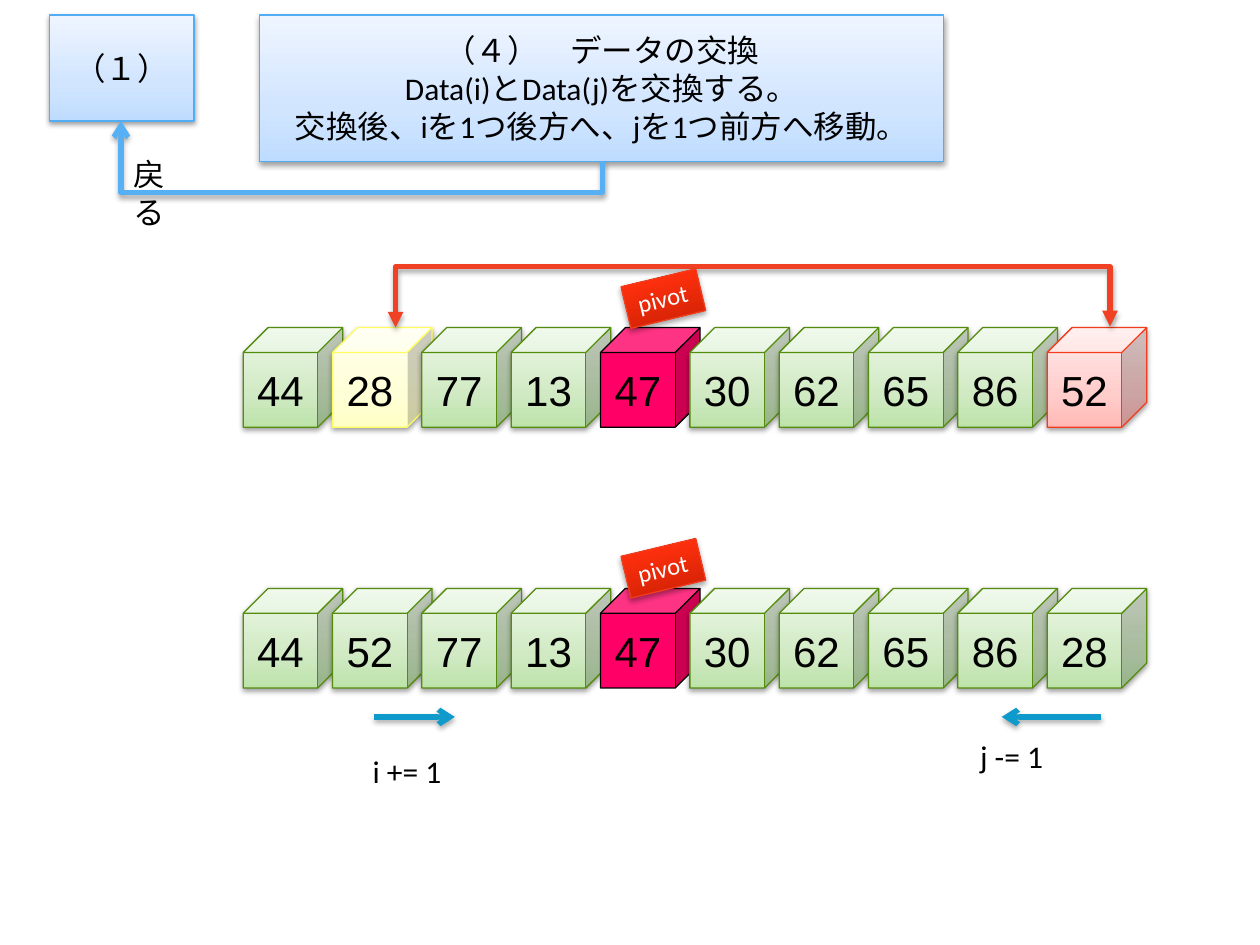
from copy import deepcopy
from dataclasses import dataclass
from typing import Optional

from lxml.etree import SubElement
from pptx import Presentation
from pptx.dml.color import RGBColor as Rgb
from pptx.enum.shapes import MSO_CONNECTOR as Conn, MSO_SHAPE as Kind
from pptx.enum.text import MSO_ANCHOR as Anchor, MSO_AUTO_SIZE as Fit, PP_ALIGN as Align
from pptx.oxml.ns import qn
from pptx.util import Inches, Pt

HUES = {
    "black": "000000", "white": "FFFFFF", "pivot": "FF0066",
    "back": "58B0F4", "swap": "F14124", "step": "0F9ACC",
}


@dataclass(frozen=True)
class Skin:
    line: str
    stops: tuple[tuple[float, str], ...]


@dataclass(frozen=True)
class Row:
    top: float
    tag_top: float
    nums: tuple[int, ...]
    marks: dict[int, Skin]


@dataclass(frozen=True)
class Bend:
    box: tuple[float, float, float, float]
    hue: str
    ratio: float
    flips: str
    ends: tuple[str, ...]
    head: str


@dataclass(frozen=True)
class Step:
    start: float
    end: float
    text: str
    box: tuple[float, float, float, float]


BLUE = Skin("52ADF2", ((0, "BEDCFF"), (0.35, "D1E5FF"), (1, "EEF5FF")))
GREEN = Skin("548C0E", ((0, "BDE3AA"), (0.35, "D1EAC4"), (1, "EDF8E8")))
YELLOW = Skin("FDFD5F", ((0, "FFFFC6"), (0.35, "FFFFD7"), (1, "FFFFF0")))
PINK = Skin("F13C1E", ((0, "FFBAB7"), (0.35, "FFCECC"), (1, "FFEDEC")))
RED = Skin("F13C1E", ((0, "CB2004"), (0.8, "FF300D"), (1, "FF310F")))
PIVOT = Skin(HUES["black"], ((0, HUES["pivot"]),))

LEFT, PITCH, SIDE = 1.93, 0.709, 0.79

ROWS = (
    Row(2.6, 2.2, (44, 28, 77, 13, 47, 30, 62, 65, 86, 52),
        {1: YELLOW, 4: PIVOT, 9: PINK}),
    Row(4.67, 4.34, (44, 52, 77, 13, 47, 30, 62, 65, 86, 28), {4: PIVOT}),
)
BENDS = (
    Bend((2.71, -0.79, 0.32, 3.82), "back", -0.78, "H", ("tailEnd",), "arrow"),
    Bend((5.97, -0.24, 0.01, 5.67), "swap", 49, "HV", ("headEnd", "tailEnd"), "triangle"),
)
STEPS = (
    Step(2.97, 3.61, "i += 1", (2.86, 5.92, 0.76, 0.4)),
    Step(8.74, 7.95, "j -= 1", (7.68, 5.8, 0.71, 0.4)),
)


def shade(props, alpha: int, dist: float) -> None:
    glow = props.find(qn("a:effectLst"))
    if glow is None:
        glow = SubElement(props, qn("a:effectLst"))
    cast = SubElement(glow, qn("a:outerShdw"), blurRad=str(Pt(3.15)),
                      dist=str(Pt(dist)), dir="5400000", rotWithShape="0")
    hue = SubElement(cast, qn("a:srgbClr"), val=HUES["black"])
    SubElement(hue, qn("a:alpha"), val=str(alpha * 1000))


def paint(shape, skin: Skin, alpha: int = 38, dist: float = 1.57) -> None:
    shape.line.color.rgb = Rgb.from_string(skin.line)
    shape.line.width = Pt(0.75)
    shape.shadow.inherit = False
    fill = shape.fill
    if len(skin.stops) == 1:
        fill.solid()
        fill.fore_color.rgb = Rgb.from_string(skin.stops[0][1])
        return
    fill.gradient()
    fill.gradient_angle = 90
    props = shape.element.spPr
    group = props.find(qn("a:gradFill")).find(qn("a:gsLst"))
    group.append(deepcopy(group[-1]))
    for stop, (place, hue) in zip(fill.gradient_stops, skin.stops):
        stop.position = place
        stop.color.rgb = Rgb.from_string(hue)
    shade(props, alpha, dist)


def write(shape, lines: tuple[str, ...], size: int, face: str = "Calibri",
          hue: str = "black", align: Align = Align.CENTER,
          anchor: Anchor = Anchor.MIDDLE, wrap: bool = False, grow: bool = False) -> None:
    frame = shape.text_frame
    frame.word_wrap = wrap
    frame.vertical_anchor = anchor
    if grow:
        frame.auto_size = Fit.SHAPE_TO_FIT_TEXT
    frame.text = "\n".join(lines)
    for para in frame.paragraphs:
        para.alignment = align
        para.font.size = Pt(size)
        para.font.name = face
        para.font.color.rgb = Rgb.from_string(HUES[hue])


def panel(slide, box: tuple[float, ...], lines: tuple[str, ...]) -> None:
    shape = slide.shapes.add_shape(Kind.RECTANGLE, *map(Inches, box))
    paint(shape, BLUE)
    write(shape, lines, 18, wrap=True)


def label(slide, box: tuple[float, ...], text: str) -> None:
    shape = slide.shapes.add_textbox(*map(Inches, box))
    write(shape, (text,), 18, align=Align.LEFT, anchor=Anchor.TOP, grow=True)


def cubes(slide, row: Row) -> None:
    for spot, num in enumerate(row.nums):
        box = (LEFT + spot * PITCH, row.top, SIDE, SIDE)
        cube = slide.shapes.add_shape(Kind.CUBE, *map(Inches, box))
        paint(cube, row.marks.get(spot, GREEN))
        write(cube, (str(num),), 24, "Arial")


def tag(slide, top: float) -> None:
    shape = slide.shapes.add_shape(Kind.RECTANGLE, *map(Inches, (4.96, top, 0.61, 0.34)))
    shape.rotation = 346.5
    paint(shape, RED, 35, 1.81)
    write(shape, ("pivot",), 14, hue="white", align=Align.LEFT, anchor=Anchor.TOP, grow=True)


def ink(wire, hue: str, ends: tuple[str, ...], head: str) -> None:
    wire.line.color.rgb = Rgb.from_string(HUES[hue])
    wire.line.width = Pt(3)
    props = wire.element.spPr
    for end in ends:
        SubElement(props.find(qn("a:ln")), qn(f"a:{end}"), type=head)
    shade(props, 35, 1.81)


def bend(slide, item: Bend) -> None:
    left, top, width, height = item.box
    wire = slide.shapes.add_connector(
        Conn.ELBOW, *map(Inches, (left, top, left + width, top + height)))
    props = wire.element.spPr
    frame = props.find(qn("a:xfrm"))
    frame.set("rot", "5400000")
    for flip in item.flips:
        frame.set(f"flip{flip}", "1")
    guides: Optional[object] = props.find(qn("a:prstGeom")).find(qn("a:avLst"))
    if guides is None:
        guides = SubElement(props.find(qn("a:prstGeom")), qn("a:avLst"))
    SubElement(guides, qn("a:gd"), name="adj1", fmla=f"val {round(item.ratio * 100000)}")
    ink(wire, item.hue, item.ends, item.head)


def step(slide, item: Step) -> None:
    label(slide, item.box, item.text)
    wire = slide.shapes.add_connector(
        Conn.STRAIGHT, *map(Inches, (item.start, 5.69, item.end, 5.69)))
    ink(wire, "step", ("tailEnd",), "arrow")


def main() -> None:
    deck = Presentation()
    deck.slide_width, deck.slide_height = Inches(10), Inches(7.5)
    slide = deck.slides.add_slide(deck.slide_layouts[6])
    panel(slide, (2.06, 0.12, 5.43, 1.16), (
        "（４）\u3000データの交換".replace("\u3000", "　"),
        "Data(i)とData(j)を交換する。",
        "交換後、iを1つ後方へ、jを1つ前方へ移動。",
    ))
    panel(slide, (0.39, 0.12, 1.15, 0.84), ("（１）",))
    label(slide, (0.96, 1.18, 0.67, 0.4), "戻る")
    for row in ROWS:
        cubes(slide, row)
    for item in BENDS:
        bend(slide, item)
    for row in ROWS:
        tag(slide, row.tag_top)
    for item in STEPS:
        step(slide, item)
    deck.save("out.pptx")


if __name__ == "__main__":
    main()
